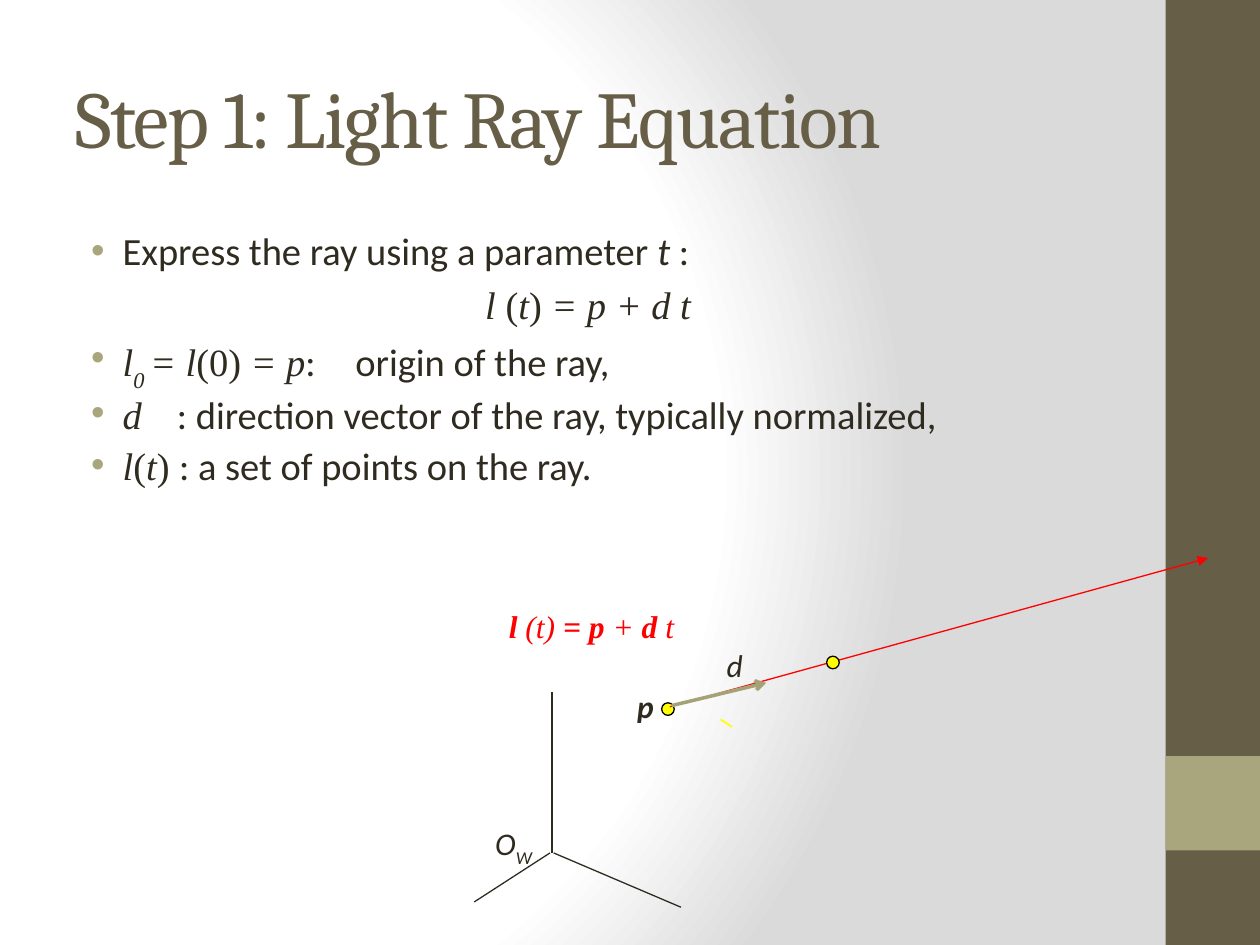
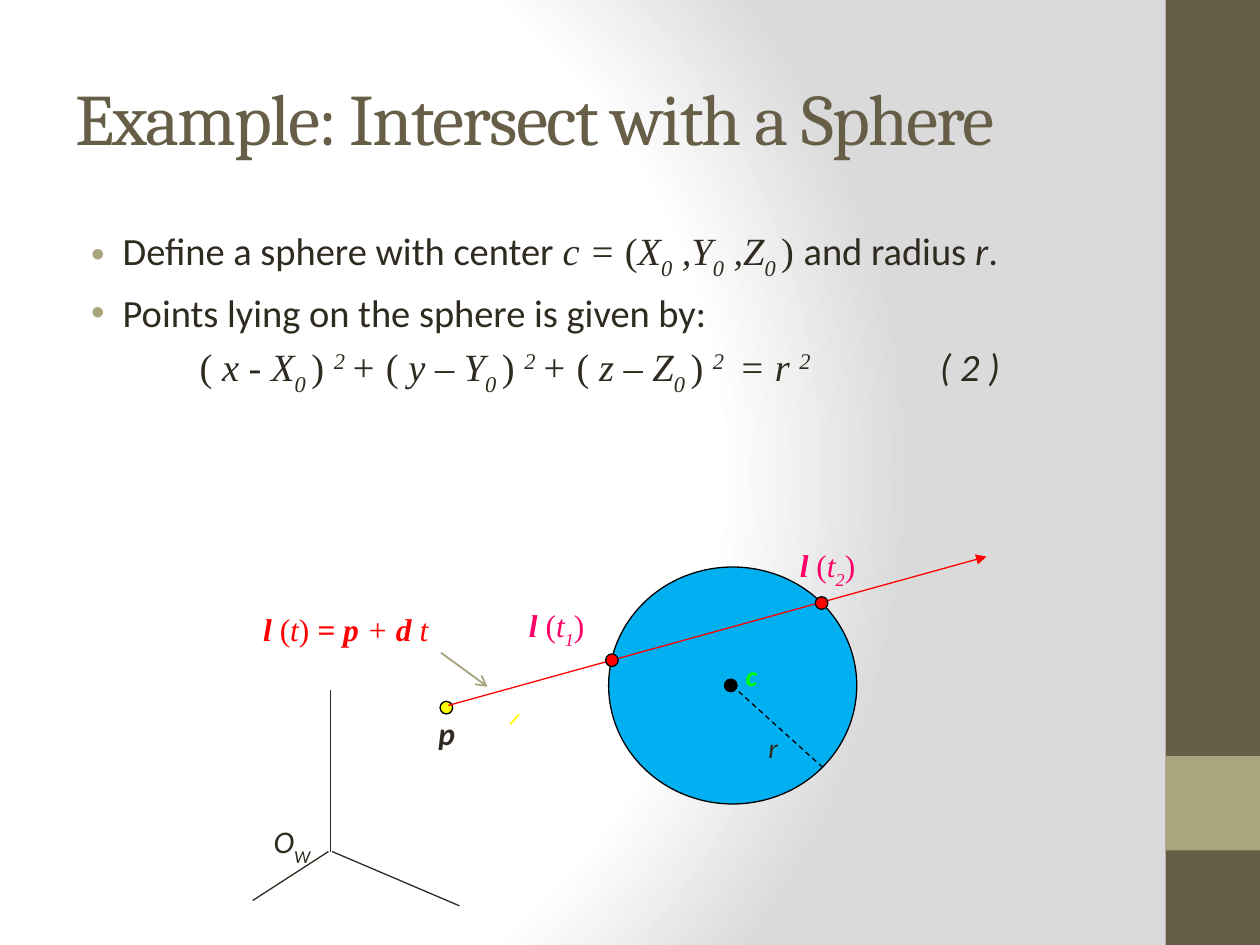
from dataclasses import dataclass

from lxml.etree import SubElement
from pptx import Presentation
from pptx.dml.color import RGBColor
from pptx.enum.dml import MSO_LINE
from pptx.enum.shapes import MSO_CONNECTOR, MSO_SHAPE
from pptx.enum.text import MSO_ANCHOR, PP_ALIGN
from pptx.oxml import parse_xml
from pptx.oxml.ns import nsdecls, qn
from pptx.util import Pt


@dataclass(frozen=True)
class Theme:
    wide: int = 720
    high: int = 540
    ink: str = "2F2B20"
    brown: str = "675E47"
    sand: str = "A9A57C"
    arrow: str = "A6A278"
    white: str = "FFFFFF"
    grey: str = "DADADA"
    black: str = "000000"
    red: str = "FF0000"
    pink: str = "FF0066"
    yellow: str = "FFFF00"
    green: str = "00FF00"
    blue: str = "00B0F0"
    head: str = "Cambria"
    sans: str = "Calibri"
    math: str = "Times New Roman"
    title: float = 46
    body: float = 22
    label: float = 18
    small: float = 16
    thin: float = 0.75


def rgb(code):
    return RGBColor.from_string(code)


class Deck:
    """Holds the theme and the current slide, and draws each kind of element."""

    def __init__(self, theme):
        self.theme = theme
        self.show = Presentation()
        self.show.slide_width = Pt(theme.wide)
        self.show.slide_height = Pt(theme.high)
        self.slide = None

    # Slide frame: gradient, side band, title
    def page(self, title, size):
        t = self.theme
        self.slide = self.show.slides.add_slide(self.show.slide_layouts[6])
        self.glow()
        self.shape(MSO_SHAPE.RECTANGLE, (666, 0, 54, t.high), t.brown)
        self.shape(MSO_SHAPE.RECTANGLE, (666, 432, 54, 54), t.sand)
        frame = self.box((36, 21.6, 600, 90))
        frame.vertical_anchor = MSO_ANCHOR.MIDDLE
        para = frame.paragraphs[0]
        self.font(para, t.head, size, t.brown)
        self.runs(para, [(title, "")])
        para.runs[0].font._element.set("spc", "-100")

    def glow(self):
        t = self.theme
        self.slide.background.fill.solid()
        base = self.slide.element.find(".//" + qn("p:bgPr"))
        stops = ((0, t.white), (75, t.white), (100, t.grey))
        marks = "".join(
            f'<a:gs pos="{pos * 1000}"><a:srgbClr val="{code}"/></a:gs>'
            for pos, code in stops)
        base.replace(base[0], parse_xml(
            f'<a:gradFill {nsdecls("a")} rotWithShape="1"><a:gsLst>{marks}</a:gsLst>'
            '<a:path path="circle"><a:fillToRect l="20000" t="50000" '
            'r="100000" b="50000"/></a:path></a:gradFill>'))

    # Text
    def box(self, area):
        frame = self.slide.shapes.add_textbox(*map(Pt, area)).text_frame
        frame.word_wrap = True
        return frame

    def font(self, para, name, size, color):
        para.font.name = name
        para.font.size = Pt(size)
        para.font.color.rgb = rgb(color)

    def runs(self, para, parts):
        """Style marks: b bold, i italic, m math font, _ subscript, ^ superscript."""
        for text, style in parts:
            run = para.add_run()
            run.text = text
            if "b" in style:
                run.font.bold = True
            if "i" in style:
                run.font.italic = True
            if "m" in style:
                run.font.name = self.theme.math
            for mark, shift in (("_", "-30000"), ("^", "30000")):
                if mark in style:
                    run.font._element.set("baseline", shift)

    def body(self, paras):
        t = self.theme
        frame = self.box((36, 126, 600, 378))
        for n, (kind, parts, tabs) in enumerate(paras):
            para = frame.add_paragraph() if n else frame.paragraphs[0]
            tight = kind == "tight"
            para.space_before = Pt(t.body * (0.5 if tight else 0.2))
            if tight:
                para.line_spacing = 0.7
            if kind == "center":
                para.alignment = PP_ALIGN.CENTER
            props = para._p.get_or_add_pPr()
            if kind in ("point", "tight"):
                props.set("marL", str(Pt(27)))
                props.set("indent", str(Pt(-18)))
                tint = SubElement(props, qn("a:buClr"))
                SubElement(tint, qn("a:srgbClr"), val=t.sand)
                SubElement(props, qn("a:buFont"), typeface="Arial")
                SubElement(props, qn("a:buChar"), char="•")
            if tabs:
                stops = SubElement(props, qn("a:tabLst"))
                for pos in tabs:
                    SubElement(stops, qn("a:tab"), pos=str(Pt(pos)), algn="l")
            self.font(para, t.sans, t.body, t.ink)
            self.runs(para, parts)

    def label(self, area, parts, color=None, name=None, size=None):
        t = self.theme
        para = self.box(area).paragraphs[0]
        self.font(para, name or t.sans, size or t.label, color or t.ink)
        self.runs(para, parts)

    # Shapes and lines
    def shape(self, kind, area, fill, line=None):
        item = self.slide.shapes.add_shape(kind, *map(Pt, area))
        item.shadow.inherit = False
        item.fill.solid()
        item.fill.fore_color.rgb = rgb(fill)
        if line:
            item.line.color.rgb = rgb(line)
            item.line.width = Pt(self.theme.thin)
        else:
            item.line.fill.background()

    def dot(self, x, y, fill):
        size = 7.2
        area = (x - size / 2, y - size / 2, size, size)
        self.shape(MSO_SHAPE.OVAL, area, fill, self.theme.black)

    def line(self, start, end, color, width=None, tip=None, dash=None):
        item = self.slide.shapes.add_connector(
            MSO_CONNECTOR.STRAIGHT, *map(Pt, (*start, *end)))
        item.line.color.rgb = rgb(color)
        item.line.width = Pt(width or self.theme.thin)
        if dash:
            item.line.dash_style = dash
        if tip:
            SubElement(item.line._get_or_add_ln(), qn("a:tailEnd"), type=tip)
        SubElement(item.element.spPr, qn("a:effectLst"))

    # World axes with the ray and its origin point
    def scene(self, x, y):
        t = self.theme
        self.label((x - 39.6, y - 20.2, 42, 34), [("O", "i"), ("W", "i_")])
        self.dot(x + 66.2, y - 82.2, t.yellow)
        axes = (((0, -92.2), (0, 0)),
                ((-1.2, 0), (-44.5, 28)),
                ((0.9, 0), (73.6, 31)))
        for (a, b), (c, d) in axes:
            self.line((x + a, y + b), (x + c, y + d), t.ink)
        self.line((x + 67.3, y - 83.5), (x + 374.8, y - 168.5), t.red, tip="triangle")


def ray(deck):
    t = deck.theme
    deck.page("Step 1: Light Ray Equation", t.title)
    deck.body([
        ("point", [("Express the ray using a parameter ", ""), ("t ", "i"), (":", "")], ()),
        ("center", [("l ", "mi"), ("(", "m"), ("t", "mi"), (")", "m"),
                    (" = p + d t", "mi")], ()),
        ("tight", [("l", "mi"), ("0 ", "mi_"), ("= l", "mi"), ("(0) ", "m"),
                   ("= p", "mi"), (":\torigin of the ray,", "")], (160,)),
        ("tight", [("d", "mi"),
                   ("\t: direction vector of the ray, typically normalized,", "")], (58,)),
        ("tight", [("l", "mi"), ("(", "m"), ("t", "mi"), (") ", "m"),
                   (": a set of points on the ray.", "")], ()),
    ])

    # Diagram
    deck.label((357, 388.8, 42, 34), [("p", "bi")])
    deck.scene(315.5, 487.4)
    deck.dot(476, 378.6, t.yellow)
    deck.label((283.7, 343.4, 142.6, 34),
               [("l ", "bi"), ("(t)", "i"), (" = p ", "bi"), ("+ ", "i"),
                ("d ", "bi"), ("t", "i")], t.red, t.math)
    deck.line((411.8, 411.1), (418.3, 415.4), t.yellow, 1)
    deck.line((383.8, 403.2), (437.8, 390.2), t.arrow, 2, "arrow")
    deck.label((408.2, 365.8, 48, 29), [("d", "i")])


def power(lead, left, right):
    """One squared bracket of the sphere equation."""
    return [(lead, "m"), (left, "mi"), (right, "mi_"), (") ", "m"), ("2 ", "mi^")]


def sphere(deck):
    t = deck.theme
    deck.page("Example: Intersect with a Sphere", t.title * 0.9)
    deck.body([
        ("point", [("Define a sphere with center ", ""), ("c = ", "mi"), ("(", "m"),
                   ("X", "mi"), ("0", "mi_"), (" ,Y", "mi"), ("0", "mi_"),
                   (" ,Z", "mi"), ("0 ", "mi_"), (") ", "m"), ("and radius", ""),
                   (" r", "i"), (".", "")], ()),
        ("point", [("Points lying on the sphere is given by:", "")], ()),
        ("plain", [("\t", ""), *power("( ", "x - X", "0 "), ("+ ", "mi"),
                   *power("( ", "y – Y", "0 "), ("+ ", "mi"),
                   *power("( ", "z – Z", "0 "), (" = r ", "mi"), ("2", "mi^"),
                   ("\t( 2 )", "i")], (71, 494)),
    ])

    # Sphere with its radius
    deck.shape(MSO_SHAPE.OVAL, (347.8, 324, 141.8, 135.4), t.blue, t.black)
    deck.line((418.3, 391.7), (470.9, 439.2), t.black, dash=MSO_LINE.DASH)
    deck.label((432, 414, 24, 28), [("r", "i")], size=t.small)

    # Ray, centre and hit points
    deck.label((243.4, 404.6, 42, 34), [("p", "bi")])
    deck.scene(188.9, 486.6)
    deck.dot(417.6, 391.7, t.black)
    deck.label((419, 373, 36.7, 30), [("c", "bi")], t.green, size=t.small)
    hits = (("1", (349.7, 377.3), (295.2, 342.7)),
            ("2", (469.5, 344.6), (450, 308.2)))
    for mark, spot, place in hits:
        deck.dot(*spot, t.red)
        deck.label((*place, 72, 34), [("l ", "bi"), ("(", ""), ("t", "i"),
                                      (mark, "i_"), (")", "")], t.pink, t.math)

    # Ray equation
    deck.label((143.3, 344.9, 142.6, 34),
               [("l ", "bi"), ("(", ""), ("t", "i"), (")", ""), (" = p ", "bi"),
                ("+ ", "i"), ("d ", "bi"), ("t", "i")], t.red, t.math)
    deck.line((291.6, 414), (296.6, 408.2), t.yellow, 1)
    deck.line((252, 373), (278.6, 392.4), t.arrow, 1, "arrow")


def main():
    deck = Deck(Theme())
    ray(deck)
    sphere(deck)
    deck.show.save("out.pptx")


if __name__ == "__main__":
    main()
